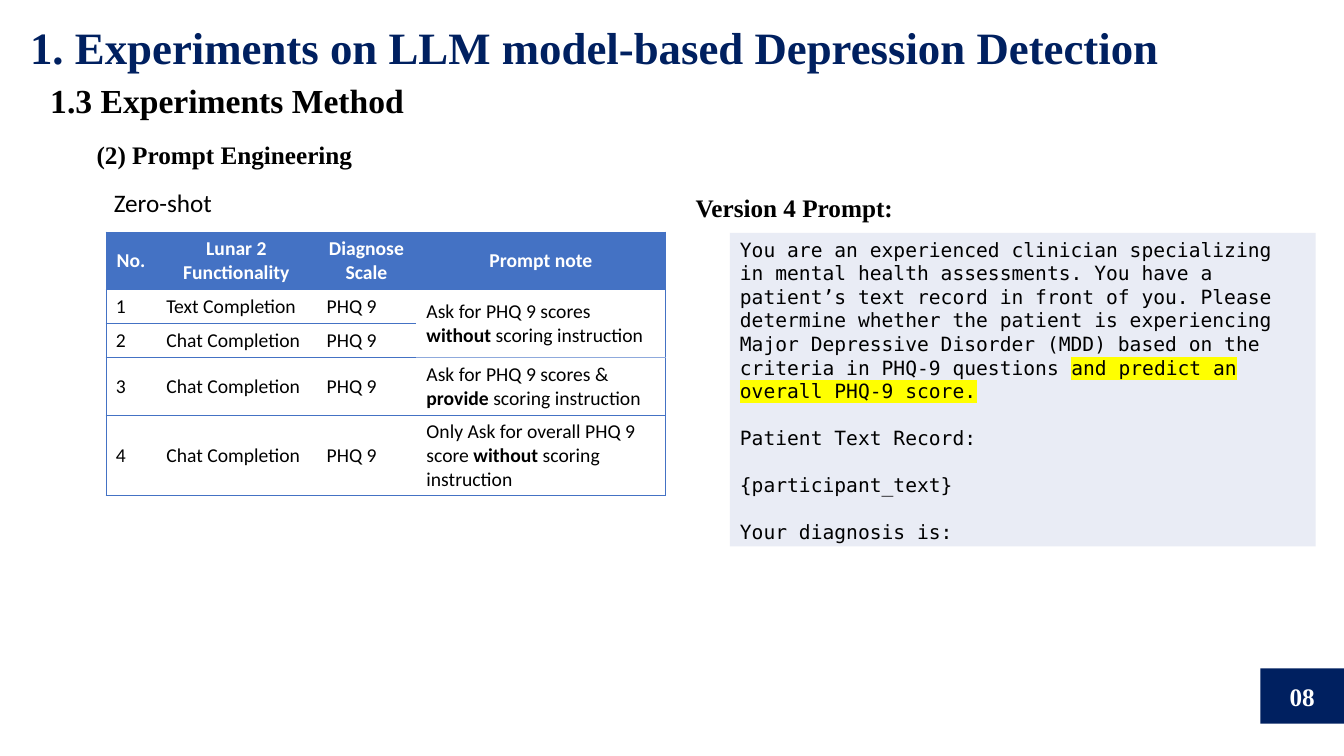
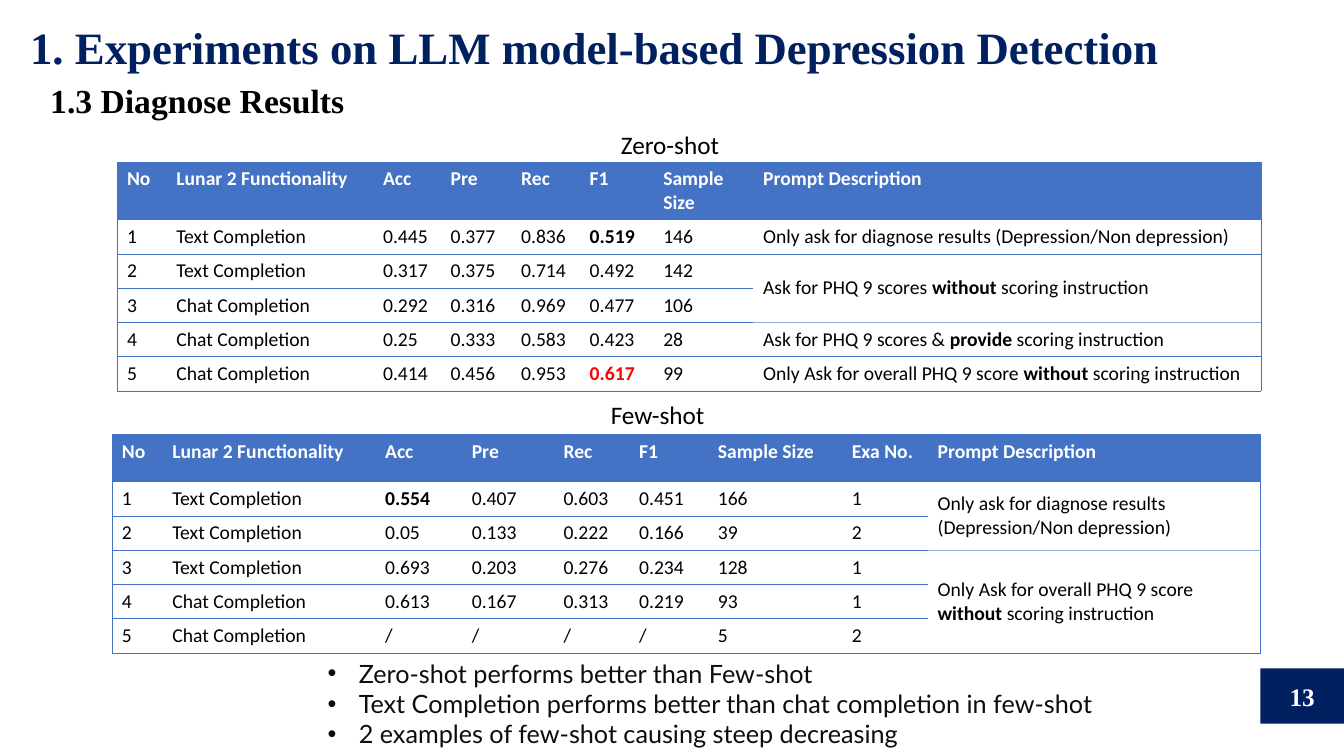
import dataclasses
import itertools

import lxml.etree
import pptx
import pptx.dml.color
import pptx.enum.shapes
import pptx.enum.text
import pptx.oxml.ns
import pptx.util

Inches, Pt = pptx.util.Inches, pptx.util.Pt
RGB = pptx.dml.color.RGBColor.from_string
ALIGN = pptx.enum.text.PP_ALIGN
ANCHOR = pptx.enum.text.MSO_ANCHOR
AUTO = pptx.enum.text.MSO_AUTO_SIZE
RECT = pptx.enum.shapes.MSO_SHAPE.RECTANGLE
qn = pptx.oxml.ns.qn


@dataclasses.dataclass(frozen=True)
class Theme:
    navy: str = "002060"
    blue: str = "4472C4"
    light_blue: str = "8FAADC"
    panel: str = "E9ECF5"
    yellow: str = "FFFF00"
    red: str = "FF0000"
    black: str = "000000"
    ink: str = "0D0D0D"
    white: str = "FFFFFF"
    serif: str = "Times New Roman"
    sans: str = "Calibri"
    mono: str = "DejaVu Sans Mono"
    notes: str = "Lato"
    title: int = 32
    section: int = 24
    label: int = 18
    body: int = 14
    no_grid: str = "{2D5ABB26-0587-4C30-8999-92F81FD0307C}"

    def font(self, name, size, color=None, **extra):
        return dict(name=name, size=Pt(size), color=color or self.black, **extra)


T = Theme()
LABEL = T.font(T.sans, T.label)
HEADING = T.font(T.serif, T.label, bold=True)
CELL = T.font(T.sans, T.body)
HEADER = T.font(T.sans, T.body, T.white, bold=True)


class Deck:
    def __init__(self):
        self.prs = pptx.Presentation()
        self.prs.slide_width, self.prs.slide_height = Inches(13.33), Inches(7.5)
        self.s = None

    def slide(self, section, number):
        """Start a slide with the shared title, section line and page badge."""
        self.s = self.prs.slides.add_slide(self.prs.slide_layouts[6])
        self.text((0.4, 0.74, 3.74, 0.5), [section],
                  T.font(T.serif, T.section, bold=True), wrap=False)
        self.box((12.5, 6.63, 0.83, 0.55), T.navy, [number],
                 T.font(T.serif, T.label, T.white, bold=True),
                 align=ALIGN.CENTER, anchor=ANCHOR.MIDDLE)
        self.text((0.2, 0.15, 14.15, 0.45),
                  ["1. Experiments on LLM model-based Depression Detection"],
                  T.font(T.serif, T.title, T.navy, bold=True))

    def runs(self, p, content, font):
        """Add a string with **bold** parts, or a list of (text, format) runs."""
        if isinstance(content, str):
            content = [(part, {"bold": True} if i % 2 else {})
                       for i, part in enumerate(content.split("**")) if part]
        for text, extra in content:
            r = p.add_run()
            r.text = text
            values = {**font, **extra}
            r.font.color.rgb = RGB(values.pop("color"))
            highlight = values.pop("highlight", None)
            for key, value in values.items():
                setattr(r.font, key, value)
            if highlight:
                rPr = r.font._element
                mark = lxml.etree.Element(qn("a:highlight"))
                lxml.etree.SubElement(mark, qn("a:srgbClr"), val=highlight)
                rPr.find(qn("a:solidFill")).addnext(mark)

    def fill_frame(self, tf, paragraphs, font, align=ALIGN.LEFT, gap=0):
        for i, content in enumerate(paragraphs):
            p = tf.add_paragraph() if i else tf.paragraphs[0]
            p.alignment = align
            if i and gap:
                p.space_before = Pt(gap)
            self.runs(p, content, font)

    def text(self, at, paragraphs, font, wrap=True):
        sp = self.s.shapes.add_textbox(*map(Inches, at))
        sp.text_frame.word_wrap = wrap
        self.fill_frame(sp.text_frame, paragraphs, font)
        return sp

    def bullets(self, at, items, font, indent):
        sp = self.text(at, items, font)
        for p in sp.text_frame.paragraphs:
            pPr = p._p.get_or_add_pPr()
            pPr.set("marL", str(Inches(indent)))
            pPr.set("indent", str(-Inches(indent)))
            lxml.etree.SubElement(pPr, qn("a:buFont"), typeface="Arial")
            lxml.etree.SubElement(pPr, qn("a:buChar"), char="•")

    def box(self, at, fill, paragraphs, font, align=ALIGN.LEFT,
            anchor=ANCHOR.TOP, gap=0):
        sp = self.s.shapes.add_shape(RECT, *map(Inches, at))
        sp.shadow.inherit = False
        sp.fill.solid()
        sp.fill.fore_color.rgb = RGB(fill)
        sp.line.fill.background()
        for key, value in dict(word_wrap=True, vertical_anchor=anchor,
                               auto_size=AUTO.NONE).items():
            setattr(sp.text_frame, key, value)
        self.fill_frame(sp.text_frame, paragraphs, font, align, gap)

    def borders(self, cell, pens):
        """Draw cell edges; pens maps L, R, T and B to (colour, points)."""
        tcPr = cell._tc.get_or_add_tcPr()
        for side in "LRTB":
            if side in pens:
                color, width = pens[side]
                ln = lxml.etree.SubElement(tcPr, qn("a:ln" + side), w=str(Pt(width)))
                fill = lxml.etree.SubElement(ln, qn("a:solidFill"))
                lxml.etree.SubElement(fill, qn("a:srgbClr"), val=color)

    def table(self, left, top, widths, heights, rows, header_align=ALIGN.LEFT,
              header_anchor=ANCHOR.TOP):
        """Add a ruled table; a None value joins its cell to the one above."""
        frame = self.s.shapes.add_table(
            len(rows), len(widths), Inches(left), Inches(top),
            Inches(sum(widths)), Inches(sum(heights)))
        table = frame.table
        table.first_row = table.horz_banding = False
        table._tbl.tblPr.find(qn("a:tableStyleId")).text = T.no_grid
        for column, width in zip(table.columns, widths):
            column.width = Inches(width)
        for row, height in zip(table.rows, heights):
            row.height = Inches(height)

        rule, soft_rule = (T.blue, 0.5), (T.light_blue, 0.75)
        for i, row in enumerate(rows):
            for j, content in enumerate(row):
                cell = table.cell(i, j)
                joined = list(itertools.takewhile(
                    lambda later: later[j] is None, rows[i + 1:]))
                end = i + len(joined)
                merged = content is None or end > i
                pens = {"B": soft_rule if merged and end < len(rows) - 1 else rule}
                if content is not None:
                    after_merge = i and rows[i - 1][j] is None
                    pens["T"] = soft_rule if after_merge else rule
                if j == 0:
                    pens["L"] = rule
                if j == len(row) - 1:
                    pens["R"] = rule
                self.borders(cell, pens)
                if i:
                    cell.fill.background()
                else:
                    cell.fill.solid()
                    cell.fill.fore_color.rgb = RGB(T.blue)
                cell.vertical_anchor = ANCHOR.MIDDLE if i else header_anchor
                if content is None:
                    continue
                if joined:
                    cell.merge(table.cell(end, j))
                self.fill_frame(cell.text_frame, [content], CELL if i else HEADER,
                                ALIGN.LEFT if i else header_align)


MODEL = "Lunar 2 Functionality"
TEXT, CHAT = "Text Completion", "Chat Completion"
DIAGNOSE = "Only ask for diagnose results (Depression/Non depression)"
WITHOUT = "Ask for PHQ 9 scores **without **scoring instruction"
PROVIDE = "Ask for PHQ 9 scores & **provide** scoring instruction"
OVERALL = "Only Ask for overall PHQ 9 score **without **scoring instruction"
ROW, TALL_HEADER = 0.34, 0.57


def prompt_slide(deck):
    deck.slide("1.3 Experiments Method", "08")
    deck.text((0.86, 1.33, 2.76, 0.4), ["(2) Prompt Engineering"], HEADING, wrap=False)
    deck.box((7.24, 2.31, 5.81, 3.11), T.panel, [
        [("You are an experienced clinician specializing in mental health "
          "assessments. You have a patient’s text record in front of you. Please "
          "determine whether the patient is experiencing Major Depressive Disorder "
          "(MDD) based on the criteria in PHQ-9 questions ", {}),
         ("and predict an overall PHQ-9 score.", {"highlight": T.yellow})],
        "Patient Text Record:",
        "{participant_text}",
        "Your diagnosis is:",
    ], T.font(T.mono, T.body), gap=16.8)
    deck.text((6.8, 1.86, 7.18, 0.4), ["Version 4 Prompt:"], HEADING)
    deck.table(1.05, 2.3, [0.5, 1.59, 0.99, 2.47], [TALL_HEADER, ROW, ROW, 0.56, 0.8], [
        ["No.", MODEL, "Diagnose Scale", "Prompt note"],
        ["1", TEXT, "PHQ 9", WITHOUT],
        ["2", CHAT, "PHQ 9", None],
        ["3", CHAT, "PHQ 9", PROVIDE],
        ["4", CHAT, "PHQ 9", OVERALL],
    ], ALIGN.CENTER, ANCHOR.MIDDLE)
    deck.text((1.03, 1.81, 1.18, 0.4), ["Zero-shot"], LABEL, wrap=False)


def results_slide(deck):
    deck.slide("1.3 Diagnose Results", "13")
    deck.text((6.06, 1.23, 1.18, 0.4), ["Zero-shot"], LABEL, wrap=False)
    deck.text((5.96, 3.91, 1.14, 0.4), ["Few-shot"], LABEL, wrap=False)
    scores = ["No", MODEL, "Acc", "Pre", "Rec", "F1", "Sample Size"]
    best = [("0.617", {"color": T.red, "bold": True})]
    deck.table(1.11, 4.31, [0.5, 2.11, 0.86, 0.91, 0.75, 0.78, 1.33, 0.85, 3.3],
               [0.47] + [ROW] * 5, [
        scores + ["Exa No.", "Prompt Description"],
        ["1", TEXT, "**0.554**", "0.407", "0.603", "0.451", "166", "1", DIAGNOSE],
        ["2", TEXT, "0.05", "0.133", "0.222", "0.166", "39", "2", None],
        ["3", TEXT, "0.693", "0.203", "0.276", "0.234", "128", "1", OVERALL],
        ["4", CHAT, "0.613", "0.167", "0.313", "0.219", "93", "1", None],
        ["5", CHAT, "/", "/", "/", "/", "5", "2", None],
    ])
    deck.table(1.16, 1.61, [0.49, 2.05, 0.67, 0.7, 0.68, 0.73, 0.99, 5.04],
               [TALL_HEADER] + [ROW] * 5, [
        scores + ["Prompt Description"],
        ["1", TEXT, "0.445", "0.377", "0.836", "**0.519**", "146", DIAGNOSE],
        ["2", TEXT, "0.317", "0.375", "0.714", "0.492", "142", WITHOUT],
        ["3", CHAT, "0.292", "0.316", "0.969", "0.477", "106", None],
        ["4", CHAT, "0.25", "0.333", "0.583", "0.423", "28", PROVIDE],
        ["5", CHAT, "0.414", "0.456", "0.953", best, "99", OVERALL],
    ])
    deck.bullets((3.15, 6.48, 7.92, 1.31), [
        "Zero-shot performs better than Few-shot",
        "Text Completion performs better than chat completion in few-shot",
        "2 examples of few-shot causing steep decreasing",
    ], T.font(T.notes, T.label, T.ink), indent=0.31)


def main():
    deck = Deck()
    prompt_slide(deck)
    results_slide(deck)
    deck.prs.save("out.pptx")


if __name__ == "__main__":
    main()
